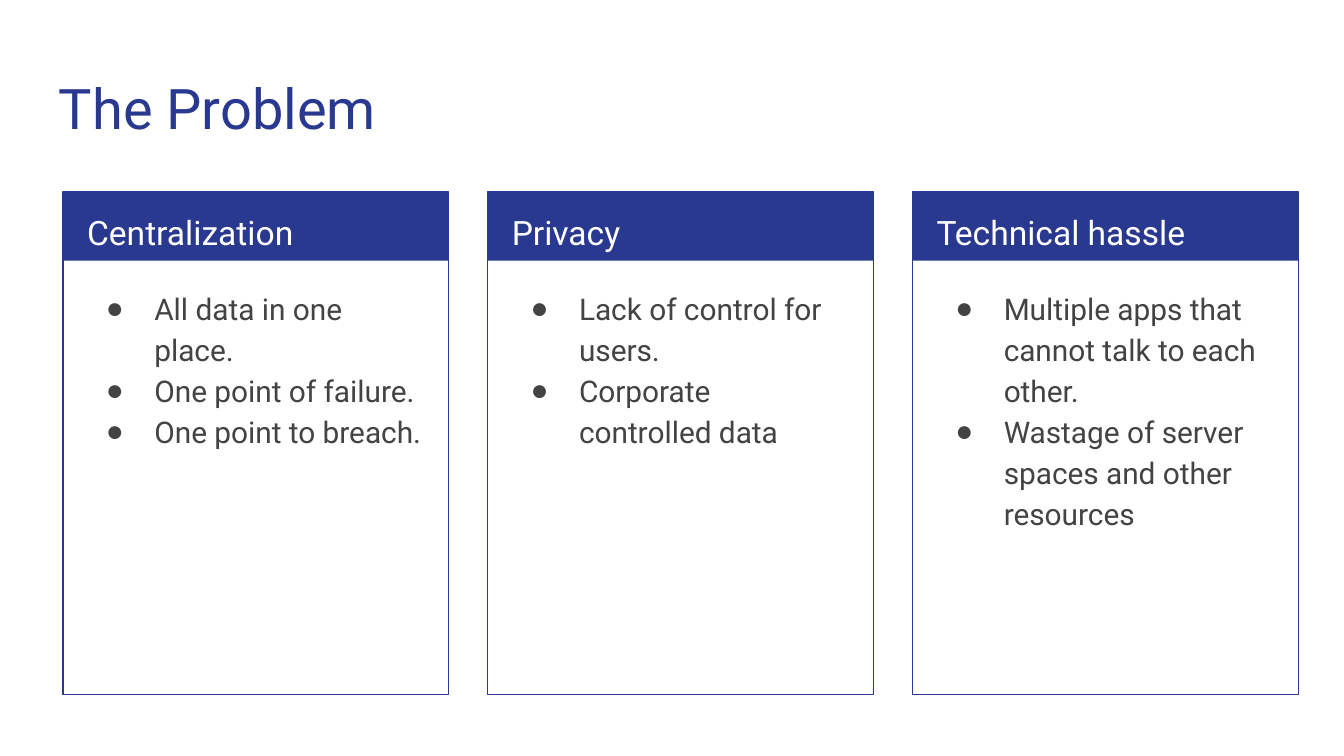
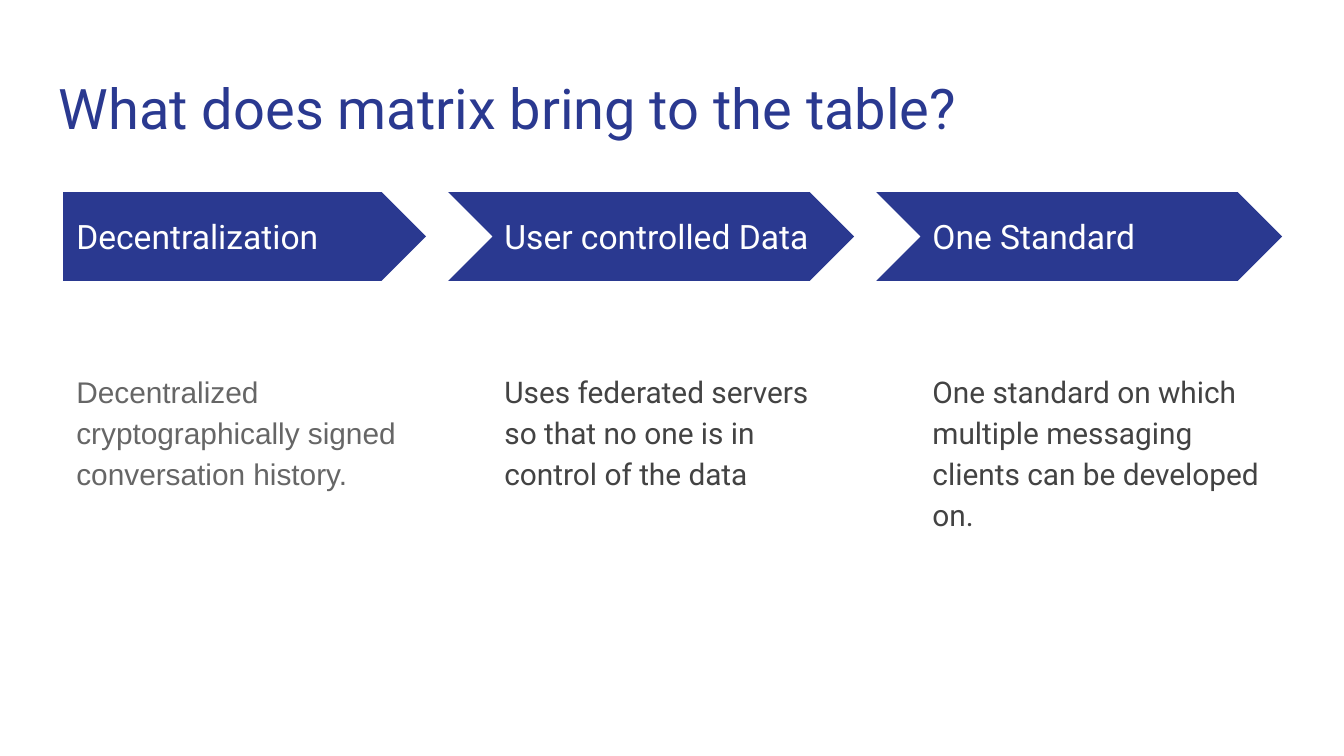
from lxml import etree
from pptx import Presentation
from pptx.dml.color import RGBColor
from pptx.enum.shapes import MSO_SHAPE as Preset
from pptx.enum.text import MSO_ANCHOR as Anchor, PP_ALIGN as Align
from pptx.oxml.ns import qn
from pptx.util import Inches, Pt

COLORS = {"blue": "2A3990", "white": "FFFFFF", "dark": "434343", "gray": "666666"}
FONT, BULLET_FONT = "Roboto", "Arial"
LEFT, TOP = 0.47, 1.43

CARDS = [
    ("Centralization",
     ["All data in one place.", "One point of failure.", "One point to breach."]),
    ("Privacy",
     ["Lack of control for users.", "Corporate controlled data"]),
    ("Technical hassle",
     ["Multiple apps that cannot talk to each other.",
      "Wastage of server spaces and other resources"]),
]
STEPS = [
    ("Decentralization",
     "Decentralized cryptographically signed conversation history.", "Arial", "gray"),
    ("User controlled Data",
     "Uses federated servers so that no one is in control of the data", FONT, "dark"),
    ("One Standard",
     "One standard on which multiple messaging clients can be developed on.", FONT, "dark"),
]


def color(name):
    return RGBColor.from_string(COLORS[name])


def add_text(slide, box, lines, size, color_name, font=FONT, spacing=1.0,
             anchor=Anchor.TOP, top_inset=0.1):
    """Add a wrapped text box with one paragraph per line and return its frame."""
    text_frame = slide.shapes.add_textbox(*map(Inches, box)).text_frame
    text_frame.word_wrap = True
    text_frame.vertical_anchor = anchor
    text_frame.margin_left = text_frame.margin_right = Inches(0.1)
    text_frame.margin_top, text_frame.margin_bottom = Inches(top_inset), Inches(0.1)
    text_frame.text = "\n".join(lines)
    for paragraph in text_frame.paragraphs:
        paragraph.alignment = Align.LEFT
        paragraph.line_spacing = spacing
        for run in paragraph.runs:
            run.font.name = font
            run.font.size = Pt(size)
            run.font.color.rgb = color(color_name)
    return text_frame


def add_bullet(paragraph, color_name):
    properties = paragraph._p.get_or_add_pPr()
    properties.set("marL", str(Inches(0.5)))
    properties.set("indent", str(Inches(-0.36)))
    bullet_color = etree.SubElement(properties, qn("a:buClr"))
    etree.SubElement(bullet_color, qn("a:srgbClr"), val=COLORS[color_name])
    etree.SubElement(properties, qn("a:buFont"), typeface=BULLET_FONT)
    etree.SubElement(properties, qn("a:buChar"), char="●")


def add_filled(shapes, preset, box):
    shape = shapes.add_shape(preset, *map(Inches, box))
    shape.shadow.inherit = False
    shape.fill.solid()
    shape.fill.fore_color.rgb = color("blue")
    shape.line.fill.background()
    return shape


def add_outline(shapes, box):
    shape = shapes.add_shape(Preset.RECTANGLE, *map(Inches, box))
    shape.shadow.inherit = False
    shape.fill.background()
    shape.line.color.rgb = color("blue")
    shape.line.width = Pt(0.75)


def add_titled_slide(presentation, title):
    slide = presentation.slides.add_slide(presentation.slide_layouts[6])
    slide.background.fill.solid()
    slide.background.fill.fore_color.rgb = color("white")
    add_text(slide, (0.34, 0.45, 9.32, 0.66), [title], 30, "blue")
    return slide


def add_card(slide, box, heading, bullets):
    left, top, width, height = box
    frame = slide.shapes.add_group_shape()
    add_filled(frame.shapes, Preset.RECTANGLE, (left, top, width, 0.51))
    add_outline(frame.shapes, box)
    add_text(slide, (left + 0.08, top, width - 0.14, 0.5), [heading], 18, "white",
             spacing=1.15)
    body = add_text(slide, (left + 0.08, top + 0.59, width - 0.16, height - 0.68),
                    bullets, 16, "dark", spacing=1.15)
    for paragraph in body.paragraphs:
        add_bullet(paragraph, "dark")


def add_step(slide, box, preset, notch, heading, body, font, color_name):
    """Add an arrow reaching `notch` left of the box, its heading and the text below."""
    left, top, width, height = box
    arrow = add_filled(slide.shapes, preset, (left - notch, top, width + notch, 0.66))
    arrow.adjustments[0] = 0.5
    add_text(slide, (left, top + 0.16, 2.47, 0.34), [heading], 18, "white",
             anchor=Anchor.MIDDLE)
    add_text(slide, (left, top + 0.83, width, height - 0.83), [body], 16, color_name,
             font=font, spacing=1.15, top_inset=0.48)


def build_problem(presentation):
    slide = add_titled_slide(presentation, "The Problem")
    for index, (heading, bullets) in enumerate(CARDS):
        add_card(slide, (LEFT + index * 3.16, TOP, 2.87, 3.74), heading, bullets)


def build_benefits(presentation):
    slide = add_titled_slide(presentation, "What does matrix bring to the table?")
    for index, step in enumerate(STEPS):
        preset, notch = (Preset.CHEVRON, 0.32) if index else (Preset.PENTAGON, 0)
        add_step(slide, (LEFT + index * 6.37 / 2, TOP, 2.7, 3.73), preset, notch, *step)


def main():
    presentation = Presentation()
    presentation.slide_width = Inches(10)
    presentation.slide_height = Inches(10 * 9 / 16)
    build_problem(presentation)
    build_benefits(presentation)
    presentation.save("out.pptx")


if __name__ == "__main__":
    main()
